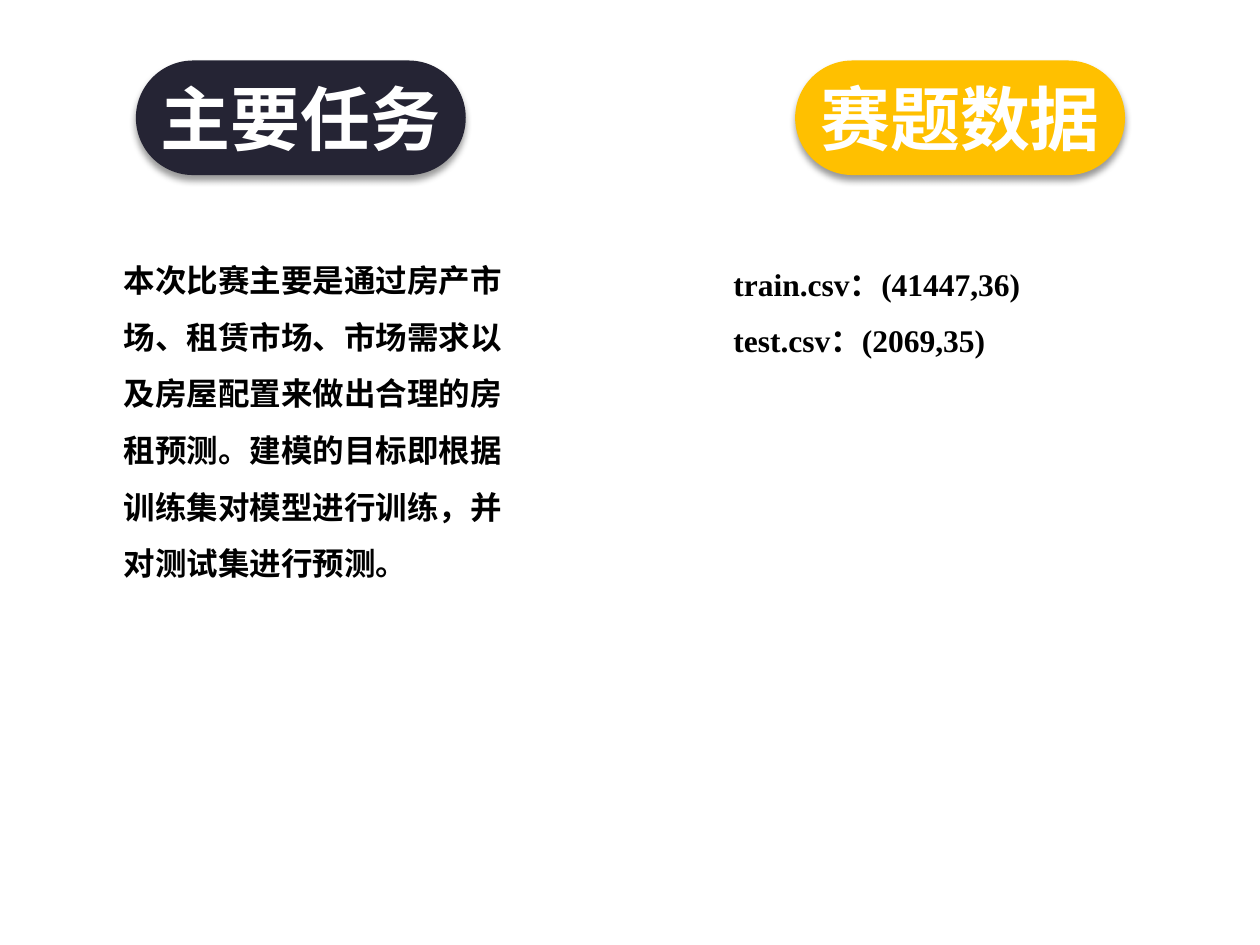
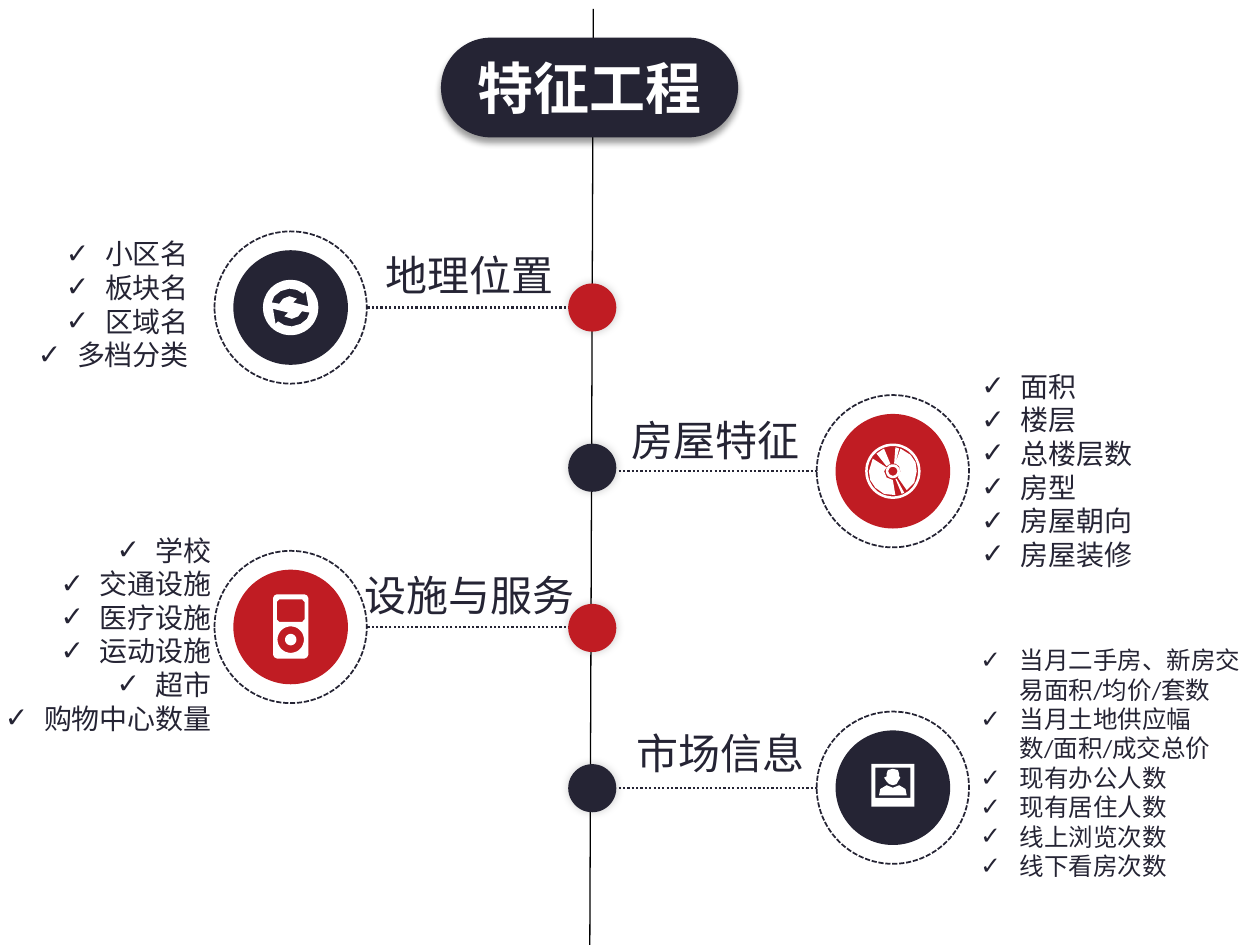
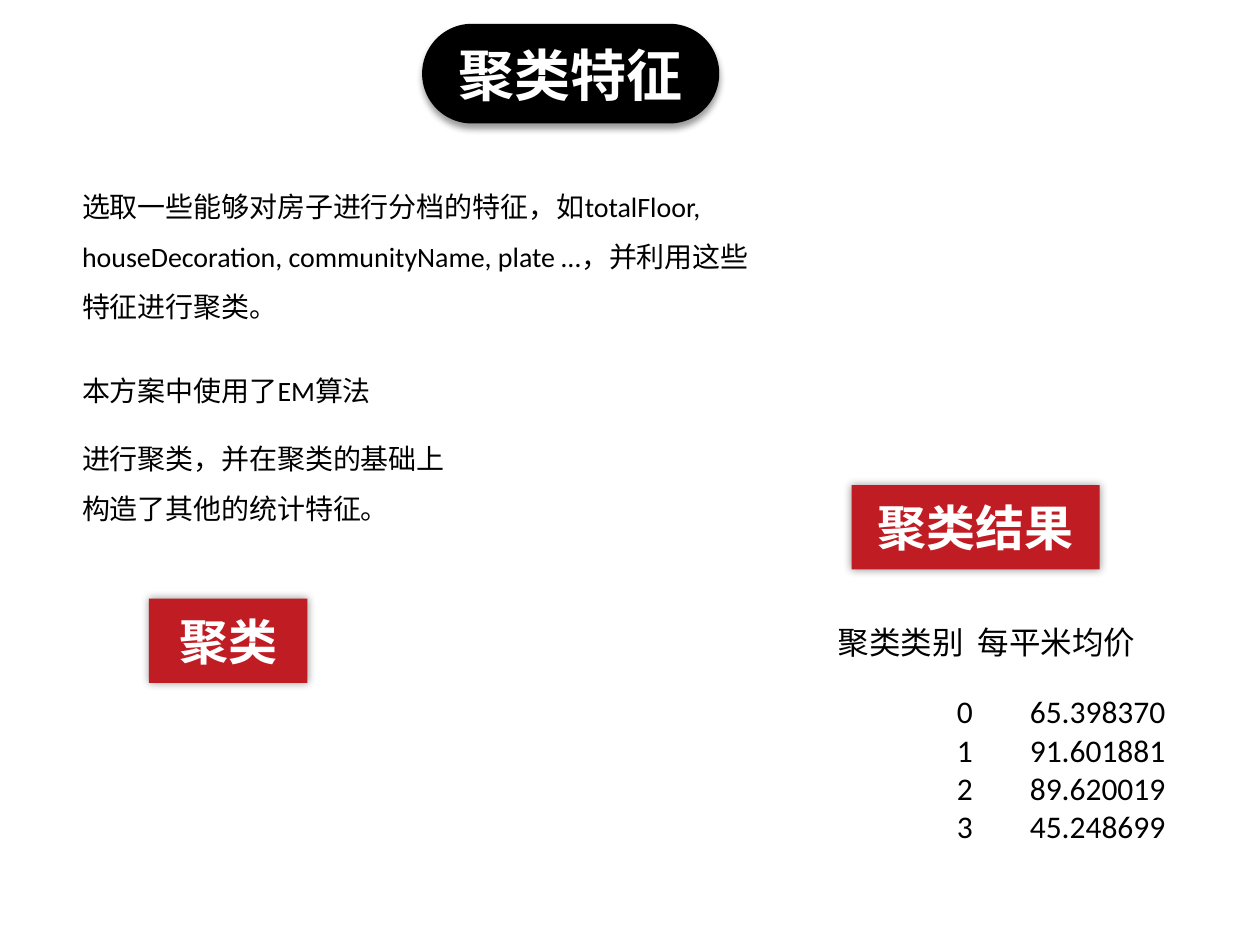
from math import cos, pi, sin

from lxml import etree
from pptx import Presentation
from pptx.dml.color import RGBColor
from pptx.enum.dml import MSO_LINE
from pptx.enum.shapes import MSO_CONNECTOR, MSO_SHAPE
from pptx.enum.text import MSO_ANCHOR, MSO_AUTO_SIZE, PP_ALIGN
from pptx.oxml.ns import qn
from pptx.util import Cm, Pt

PILL, BOX, OVAL = MSO_SHAPE.ROUNDED_RECTANGLE, MSO_SHAPE.RECTANGLE, MSO_SHAPE.OVAL
STRAIGHT = MSO_CONNECTOR.STRAIGHT
DOTTED, DASHED = MSO_LINE.ROUND_DOT, MSO_LINE.SQUARE_DOT
TOP, MIDDLE = MSO_ANCHOR.TOP, MSO_ANCHOR.MIDDLE
LEFT, CENTER, RIGHT = PP_ALIGN.LEFT, PP_ALIGN.CENTER, PP_ALIGN.RIGHT
NO_FIT = MSO_AUTO_SIZE.NONE

rgb = RGBColor.from_string
NAVY, RED, GOLD, BLACK, WHITE = "252434", "C01C23", "FFC000", "000000", "FFFFFF"
SERIF, SANS = "Times New Roman", "Calibri"
DROP = dict(alpha=40, blur=4, dist=3, angle=90)
GLOW = dict(alpha=40, blur=5, dist=0, angle=0)
SOFT_GLOW = dict(alpha=20, blur=5, dist=0, angle=0)


def paint(shape, fill, shadow=None):
    shape.fill.solid()
    shape.fill.fore_color.rgb = rgb(fill)
    shape.line.fill.background()
    shape.shadow.inherit = False
    if shadow:
        effects = shape._element.spPr.find(qn("a:effectLst"))
        outer = etree.SubElement(effects, qn("a:outerShdw"), {
            "blurRad": str(Pt(shadow["blur"])), "dist": str(Pt(shadow["dist"])),
            "dir": str(shadow["angle"] * 60000), "algn": "ctr", "rotWithShape": "0"})
        tint = etree.SubElement(outer, qn("a:srgbClr"), val=BLACK)
        etree.SubElement(tint, qn("a:alpha"), val=str(shadow["alpha"] * 1000))


def write(shape, lines, size, font=SANS, color=BLACK, bold=False, align=LEFT, anchor=TOP,
          wrap=True, spacing=1.0, before=0, check=False, place=None):
    if place:
        shape.left, shape.top, shape.width, shape.height = map(Cm, place)
    frame = shape.text_frame
    frame_format = {"auto_size": NO_FIT, "word_wrap": wrap, "vertical_anchor": anchor}
    paragraph_format = {"alignment": align, "line_spacing": spacing, "space_before": Pt(before)}
    font_format = {"name": font, "size": Pt(size), "bold": bold}
    for key, value in frame_format.items():
        setattr(frame, key, value)
    frame.text = "\n".join(lines)
    for paragraph in frame.paragraphs:
        for key, value in paragraph_format.items():
            setattr(paragraph, key, value)
        for run in paragraph.runs:
            for key, value in font_format.items():
                setattr(run.font, key, value)
            run.font.color.rgb = rgb(color)
        props = paragraph._p.get_or_add_pPr()
        hang = Cm(0.79) if check else 0
        props.set("marL", str(hang))
        props.set("indent", str(-hang))
        if check:
            etree.SubElement(props, qn("a:buChar"), char="✓")
        else:
            etree.SubElement(props, qn("a:buNone"))


prs = Presentation()
prs.slide_width, prs.slide_height = Cm(25.4), Cm(19.05)
two_content, comparison = prs.slide_layouts[3], prs.slide_layouts[4]
task_slide, feature_slide, cluster_slide = [
    prs.slides.add_slide(layout) for layout in (two_content, comparison, two_content)]

axis_x = 11.94
axis = feature_slide.shapes.add_connector(STRAIGHT, Cm(11.96), Cm(0.18), Cm(11.89), Cm(19.05))
axis.line.color.rgb = rgb(BLACK)
axis.line.width = Pt(0.75)
etree.SubElement(axis._element.spPr, qn("a:effectLst"))

headings = [
    (task_slide, "主要任务", (2.74, 1.22, 6.65, 2.31), NAVY, 40, SERIF),
    (feature_slide, "特征工程", (8.89, 0.76, 5.99, 2.01), NAVY, 32, SANS),
    (cluster_slide, "聚类特征", (8.51, 0.48, 5.99, 2.01), BLACK, 32, SANS),
]
for slide, heading, place, fill, size, font in headings:
    pill = slide.shapes.add_shape(PILL, *map(Cm, place))
    pill.adjustments[0] = 0.5
    paint(pill, fill, DROP)
    title = slide.shapes.title
    write(title, [heading], size, font, WHITE, True, CENTER, MIDDLE, wrap=False, place=place)
    slide.shapes._spTree.append(title._element)

data_pill = task_slide.shapes.add_shape(PILL, Cm(16.03), Cm(1.22), Cm(6.65), Cm(2.31))
data_pill.adjustments[0] = 0.5
paint(data_pill, GOLD, DROP)
write(data_pill, ["赛题数据"], 40, SERIF, WHITE, True, CENTER, MIDDLE, wrap=False)

write(task_slide.placeholders[1],
      ["本次比赛主要是通过房产市场、租赁市场、市场需求以及房屋配置来做出合理的房租预测。"
       "建模的目标即根据训练集对模型进行训练，并对测试集进行预测。"],
      18, SERIF, bold=True, spacing=1.5, place=(2.24, 4.75, 8.41, 9.5))
write(task_slide.placeholders[2], ["train.csv：(41447,36)", "test.csv：(2069,35)"],
      18, SERIF, bold=True, spacing=1.5, place=(14.53, 4.83, 8.13, 2.57))

arrow = [(12, -13), (10, -11), (5, -14), (-1, -15), (-8, -13), (-13, -9), (-15, -4),
         (-9, -3), (-6, -7), (-1, -9), (5, -7), (2, -4), (14, -1)]
cycle_icon = [(0, 0, 22), arrow, [(-x, -y) for x, y in arrow]]
disc_icon = [
    (0, 0, 22), (0, 0, 20), (0, 0, 5.5), (0, 0, 3.5),
    [(11, 15), (4, 5), (6, 0), (5, -4), (2, -6), (6, -18), (14, -13), (18, -7), (19, 0), (17, 9)],
    [(1, -6), (2, -19), (5, -18), (2, -6)],
    [(-13, -14), (-7, -18), (-2, -6), (-5, -4)],
    [(-7, 0), (-5, 5), (0, 7), (2, 19), (-7, 18), (-14, 13), (-18, 7), (-19, 0), (-16, -10), (-5, -3)],
    [(9, 17), (7, 18), (2, 6), (3, 6)],
]
player_icon = [
    [(-11, -26), (11, -26), (13, -25), (14, -23), (14, 22), (13, 24), (11, 25),
     (-11, 25), (-13, 24), (-14, 22), (-14, -23), (-13, -25)],
    [(-9, -22), (9, -22), (11, -20), (11, -6), (9, -4), (-9, -4), (-11, -6), (-11, -20)],
    (0, 10, 10.5), (0, 10, 4.5),
]
photo_icon = [
    [(-17, -19), (17, -19), (17, 15), (-17, 15)],
    [(-14, -16), (14, -16), (14, 8), (-14, 8)],
    [(-5, -5), (-3, -3), (0, -2), (3, -3), (4, -5), (6, -8), (5, -9), (5, -11), (4, -14),
     (0, -15), (-4, -14), (-5, -11), (-5, -9), (-7, -8)],
    [(11, 6), (10, 1), (5, -2), (0, 0), (-5, -2), (-10, 1), (-11, 6)],
]

topics = [
    ("地理位置", (7.47, 4.9, 3.94, 1.27), 5.86, 6.2, NAVY, cycle_icon, RIGHT, 16,
     (0.28, 4.65, 3.78, 3.0), ["小区名", "板块名", "区域名", "多档分类"]),
    ("房屋特征", (12.42, 8.23, 3.94, 1.27), 18.0, 9.5, RED, disc_icon, LEFT, 16,
     (19.53, 7.32, 3.78, 4.37), ["面积", "楼层", "总楼层数", "房型", "房屋朝向", "房屋装修"]),
    ("设施与服务", (7.06, 11.35, 4.78, 1.27), 5.86, 12.64, RED, player_icon, RIGHT, 16,
     (-0.18, 10.62, 4.7, 4.37),
     ["学校", "交通设施", "医疗设施", "运动设施", "超市", "购物中心数量"]),
    ("市场信息", (12.52, 14.55, 3.94, 1.27), 18.0, 15.88, NAVY, photo_icon, LEFT, 14,
     (19.51, 12.88, 5.94, 5.05),
     ["当月二手房、新房交易面积/均价/套数", "当月土地供应幅数/面积/成交总价",
      "现有办公人数", "现有居住人数", "线上浏览次数", "线下看房次数"]),
]
ring_size, badge_size, dot_size = 3.07, 2.31, 0.97
for i, (topic, label_place, x, y, fill, icon, align, size, list_place, items) in enumerate(topics):
    ring_edge = x + ring_size / 2 * (1 if x < axis_x else -1)
    branch = feature_slide.shapes.add_connector(
        STRAIGHT, Cm(axis_x), Cm(y), Cm(ring_edge), Cm(y))
    branch.line.color.rgb = rgb(NAVY)
    branch.line.width = Pt(1.25)
    branch.line.dash_style = DOTTED
    etree.SubElement(branch.line._get_or_add_ln(), qn("a:headEnd"), type="oval")
    etree.SubElement(branch._element.spPr, qn("a:effectLst"))

    dot_y = 6.2 + 3.23 * i
    dot = feature_slide.shapes.add_shape(
        OVAL, Cm(axis_x - dot_size / 2), Cm(dot_y - dot_size / 2), Cm(dot_size), Cm(dot_size))
    paint(dot, NAVY if i % 2 else RED, SOFT_GLOW)

    medallion = feature_slide.shapes.add_group_shape().shapes
    ring, badge = [
        medallion.add_shape(OVAL, Cm(x - d / 2), Cm(y - d / 2), Cm(d), Cm(d))
        for d in (ring_size, badge_size)]
    paint(badge, fill)
    ring.fill.background()
    ring.shadow.inherit = False
    ring.line.color.rgb = rgb(NAVY)
    ring.line.width = Pt(1)
    ring.line.dash_style = DASHED

    builder = None
    for contour in icon:
        if isinstance(contour, tuple):
            cx, cy, r = contour
            contour = [(cx + r * cos(k * pi / 24), cy + r * sin(k * pi / 24)) for k in range(48)]
        points = [(px * 10, py * 10) for px, py in contour]
        if builder is None:
            builder = medallion.build_freeform(*points[0], scale=Cm(0.00254))
        else:
            builder.move_to(*points[0])
        builder.add_line_segments(points[1:], close=True)
    paint(builder.convert_to_shape(Cm(x), Cm(y)), WHITE)

    label = feature_slide.shapes.add_textbox(*map(Cm, label_place))
    write(label, [topic], 24, color=NAVY, align=RIGHT, wrap=False)
    write(feature_slide.placeholders[i + 1], items, size, color=NAVY, align=align,
          check=True, place=list_place)

write(cluster_slide.placeholders[1],
      ["选取一些能够对房子进行分档的特征，如totalFloor, houseDecoration, communityName, "
       "plate …，并利用这些特征进行聚类。"],
      16, spacing=1.5, before=10, place=(1.4, 3.35, 14.25, 7.52))
write(cluster_slide.placeholders[2],
      ["本方案中使用了EM算法", "进行聚类，并在聚类的基础上构造了其他的统计特征。"],
      16, spacing=1.5, before=10, place=(1.4, 7.06, 7.9, 3.68))

for caption, place in [("聚类", (3.0, 12.07, 3.2, 1.7)), ("聚类结果", (17.17, 9.78, 5.0, 1.7))]:
    tag = cluster_slide.shapes.add_shape(BOX, *map(Cm, place))
    paint(tag, RED, GLOW)
    write(tag, [caption], 28, color=WHITE, bold=True, align=CENTER, anchor=MIDDLE)

results = [("聚类类别", "每平米均价"), ("0", "65.398370"), ("1", "91.601881"),
           ("2", "89.620019"), ("3", "45.248699")]
header_height, row_height = 1.53, 0.77
price_table = cluster_slide.shapes.add_table(
    len(results), 2, Cm(16.89), Cm(12.45), Cm(6.82), Cm(header_height + 4 * row_height)).table
price_table.first_row = price_table.horz_banding = False
price_table.columns[0].width, price_table.columns[1].width = Cm(2.82), Cm(4)
for r, record in enumerate(results):
    price_table.rows[r].height = Cm(row_height if r else header_height)
    for c, value in enumerate(record):
        cell = price_table.cell(r, c)
        cell.fill.background()
        cell.margin_left = Cm((2.4, 1.05)[c] if r else 0)
        cell.margin_right = cell.margin_top = cell.margin_bottom = 0
        write(cell, [value], 18)

prs.save("out.pptx")
